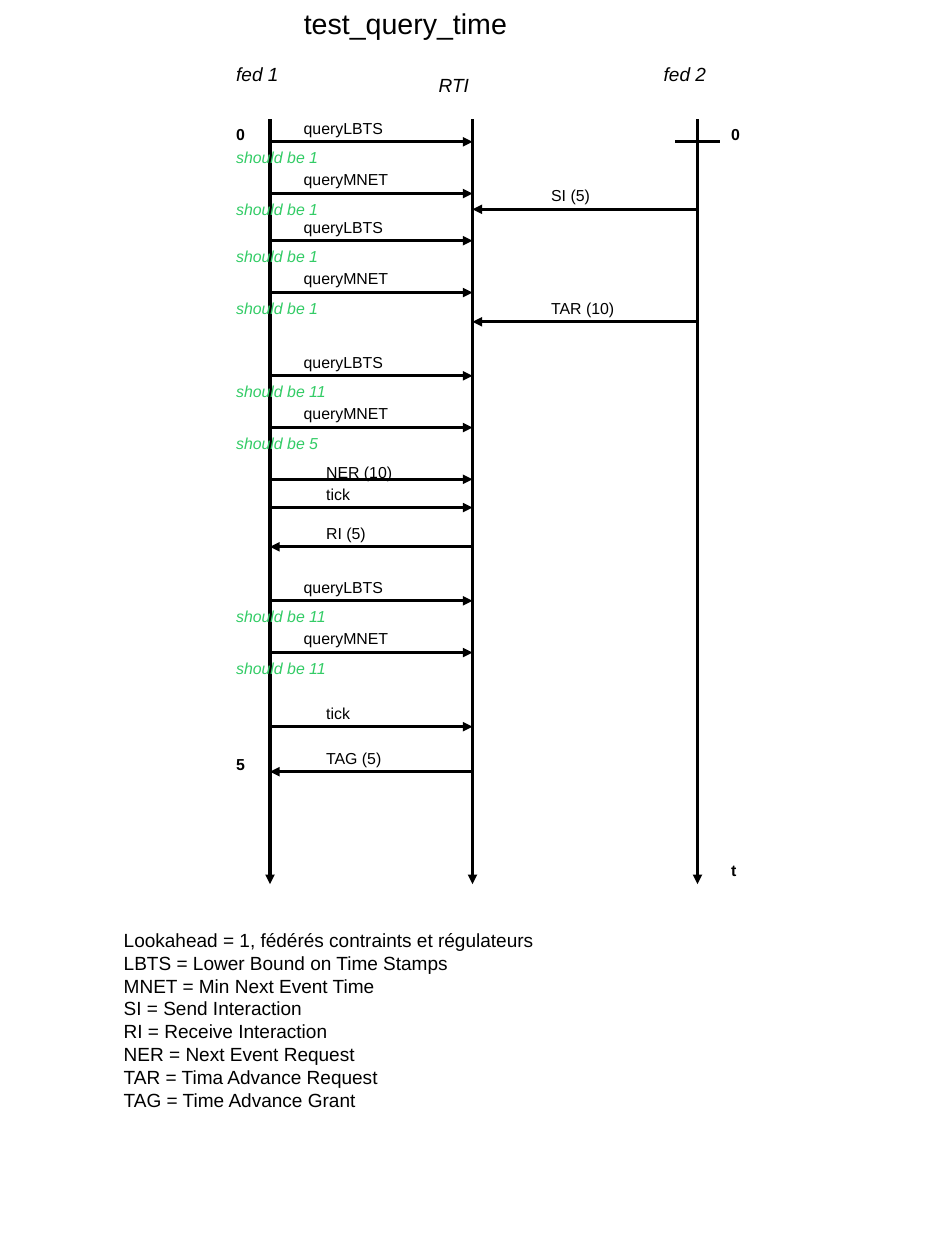
from dataclasses import dataclass

import pptx
import pptx.dml.color
import pptx.enum.shapes
import pptx.enum.text
import pptx.oxml.ns
import pptx.shapes.base
import pptx.shapes.connector
import pptx.slide
import pptx.util
from lxml import etree
from pptx.dml.color import RGBColor
from pptx.util import Cm

BLACK = RGBColor(0x00, 0x00, 0x00)
GREEN = RGBColor(0x33, 0xCC, 0x66)
FONT = "Arial"

# Time axes and text columns, in centimetres
FED_1, RTI, FED_2 = 6.0, 10.5, 15.5
AXIS_TOP, AXIS_END = 2.65, 19.65
LEFT_COLUMN, RIGHT_COLUMN = 5.0, 16.0
QUERY_COLUMN, CALL_COLUMN, FED_2_COLUMN = 6.5, 7.0, 12.0
QUERY_STEP = 1.15
LINE_HEIGHT = 0.64


@dataclass(frozen=True)
class TextStyle:
    size: float
    color: RGBColor = BLACK
    bold: bool = False
    italic: bool = False


@dataclass(frozen=True)
class Label:
    text: str
    left: float
    top: float
    width: float
    height: float
    style: TextStyle


@dataclass(frozen=True)
class Message:
    text: str
    start: float
    end: float
    level: float
    text_left: float
    rise: float = 0.65


@dataclass(frozen=True)
class QueryPair:
    level: float
    lbts: int
    mnet: int


TITLE = TextStyle(18)
HEADING = TextStyle(12, italic=True)
CALL = TextStyle(10)
RESULT = TextStyle(10, GREEN, italic=True)
TIME = TextStyle(10, bold=True)
LEGEND = TextStyle(12)

QUERIES = [
    QueryPair(3.15, 1, 1),
    QueryPair(5.35, 1, 1),
    QueryPair(8.35, 11, 5),
    QueryPair(13.35, 11, 11),
]

MESSAGES = [
    Message("SI (5)", FED_2, RTI, 4.65, FED_2_COLUMN),
    Message("TAR (10)", FED_2, RTI, 7.15, FED_2_COLUMN),
    Message("NER (10)", FED_1, RTI, 10.65, CALL_COLUMN, 0.5),
    Message("tick", FED_1, RTI, 11.28, CALL_COLUMN),
    Message("RI (5)", RTI, FED_1, 12.15, CALL_COLUMN),
    Message("tick", FED_1, RTI, 16.15, CALL_COLUMN),
    Message("TAG (5)", RTI, FED_1, 17.15, CALL_COLUMN),
]

LABELS = [
    Label("fed 1", LEFT_COLUMN, 1.27, 2, 0.73, HEADING),
    Label("RTI", 9.5, 1.5, 2, 0.73, HEADING),
    Label("fed 2", 14.5, 1.27, 2, 0.73, HEADING),
    Label("0", LEFT_COLUMN, 2.65, 1, LINE_HEIGHT, TIME),
    Label("5", LEFT_COLUMN, 16.65, 1, LINE_HEIGHT, TIME),
    Label("0", RIGHT_COLUMN, 2.65, 1, LINE_HEIGHT, TIME),
    Label("t", RIGHT_COLUMN, 19.0, 1, LINE_HEIGHT, TIME),
    Label(
        "Lookahead = 1, fédérés contraints et régulateurs\n"
        "LBTS = Lower Bound on Time Stamps\n"
        "MNET = Min Next Event Time\n"
        "SI = Send Interaction\n"
        "RI = Receive Interaction\n"
        "NER = Next Event Request\n"
        "TAR = Tima Advance Request\n"
        "TAG = Time Advance Grant",
        2.5, 20.5, 17, 4.04, LEGEND,
    ),
]


def write_label(box: pptx.shapes.base.BaseShape, label: Label) -> None:
    """Place a text shape and write one paragraph per line of the label."""
    box.left, box.top = Cm(label.left), Cm(label.top)
    box.width, box.height = Cm(label.width), Cm(label.height)
    frame = box.text_frame
    frame.word_wrap = True
    frame.auto_size = pptx.enum.text.MSO_AUTO_SIZE.SHAPE_TO_FIT_TEXT
    frame.vertical_anchor = pptx.enum.text.MSO_ANCHOR.TOP
    frame.margin_left = frame.margin_right = Cm(0.25)
    frame.margin_top = frame.margin_bottom = Cm(0.13)
    for index, line in enumerate(label.text.split("\n")):
        para = frame.add_paragraph() if index else frame.paragraphs[0]
        para.alignment = pptx.enum.text.PP_ALIGN.LEFT
        span = para.add_run()
        span.text = line
        span.font.name = FONT
        span.font.size = pptx.util.Pt(label.style.size)
        span.font.bold = label.style.bold
        span.font.italic = label.style.italic
        span.font.color.rgb = label.style.color


def add_label(page: pptx.slide.Slide, label: Label) -> None:
    box = page.shapes.add_textbox(0, 0, Cm(label.width), Cm(label.height))
    write_label(box, label)


def add_line(page: pptx.slide.Slide, x1: float, y1: float, x2: float, y2: float,
             arrow: bool = True) -> None:
    """Draw a hairline, with an arrowhead at its end unless told otherwise."""
    line = page.shapes.add_connector(
        pptx.enum.shapes.MSO_CONNECTOR.STRAIGHT, Cm(x1), Cm(y1), Cm(x2), Cm(y2))
    line.line.color.rgb = BLACK
    line.line.width = pptx.util.Pt(0)
    if arrow:
        outline = line.line._get_or_add_ln()
        etree.SubElement(outline, pptx.oxml.ns.qn("a:tailEnd"), type="triangle")
    etree.SubElement(line._element.spPr, pptx.oxml.ns.qn("a:effectLst"))


def add_message(page: pptx.slide.Slide, message: Message) -> None:
    add_line(page, message.start, message.level, message.end, message.level)
    add_label(page, Label(message.text, message.text_left,
                          message.level - message.rise, 3.5, LINE_HEIGHT, CALL))


def add_query_pair(page: pptx.slide.Slide, pair: QueryPair) -> None:
    """Draw both queries, each followed by its expected answer."""
    answers = [("queryLBTS", pair.lbts), ("queryMNET", pair.mnet)]
    for index, (name, answer) in enumerate(answers):
        level = pair.level + index * QUERY_STEP
        add_message(page, Message(name, FED_1, RTI, level, QUERY_COLUMN))
        add_label(page, Label(f"should be {answer}", LEFT_COLUMN, level,
                              2.5, LINE_HEIGHT, RESULT))


def main() -> None:
    deck = pptx.Presentation()
    deck.slide_width, deck.slide_height = Cm(21), Cm(28)
    page = deck.slides.add_slide(deck.slide_layouts[5])

    # Title
    write_label(page.shapes.title,
                Label("test_query_time", QUERY_COLUMN, 0, 9.5, 0.97, TITLE))

    # Time axes and the starting mark of fed 2
    for axis in (FED_1, RTI, FED_2):
        add_line(page, axis, AXIS_TOP, axis, AXIS_END)
    add_line(page, FED_2 - 0.5, 3.15, FED_2 + 0.5, 3.15, arrow=False)

    # Exchanges
    for pair in QUERIES:
        add_query_pair(page, pair)
    for message in MESSAGES:
        add_message(page, message)

    # Headings, times and legend
    for label in LABELS:
        add_label(page, label)

    deck.save("out.pptx")


if __name__ == "__main__":
    main()
